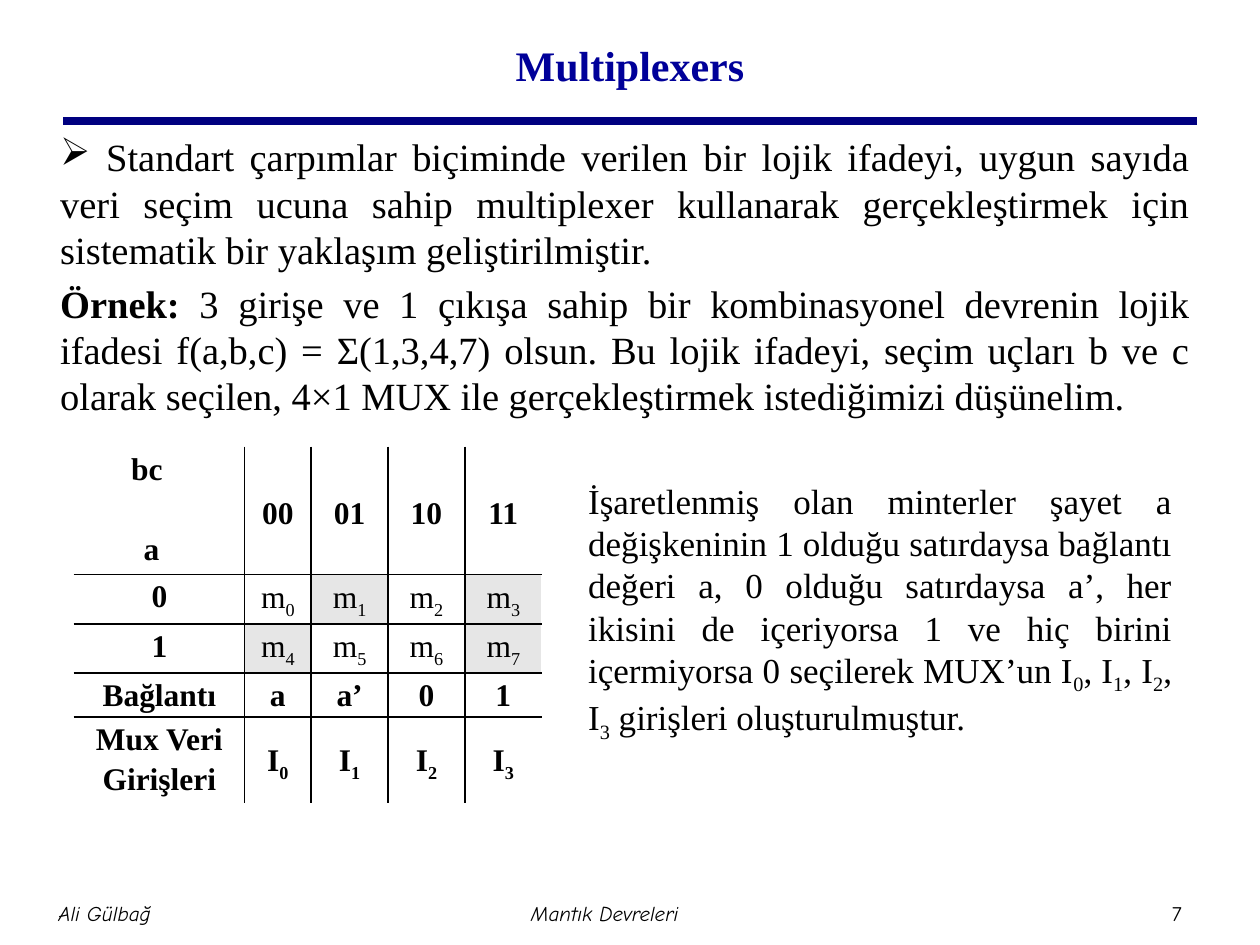
from lxml import etree
from pptx import Presentation
from pptx.dml.color import RGBColor
from pptx.enum import text
from pptx.oxml import ns
from pptx.util import Inches, Pt

COLORS = {"title": "000099", "rule": "000080", "ink": "000000", "marked": "E6E6E6"}
SERIF, COMIC = "Times New Roman", "Comic Neue"
ALIGN, ANCHOR = text.PP_ALIGN, text.MSO_ANCHOR

INTRO = (" Standart çarpımlar biçiminde verilen bir lojik ifadeyi, uygun sayıda veri seçim "
         "ucuna sahip multiplexer kullanarak gerçekleştirmek için sistematik bir yaklaşım "
         "geliştirilmiştir.")
EXAMPLE = ("3 girişe ve 1 çıkışa sahip bir kombinasyonel devrenin lojik ifadesi "
           "f(a,b,c) = Σ(1,3,4,7) olsun. Bu lojik ifadeyi, seçim uçları b ve c olarak "
           "seçilen, 4×1 MUX ile gerçekleştirmek istediğimizi düşünelim.")
NOTE = ("İşaretlenmiş olan minterler şayet a değişkeninin 1 olduğu satırdaysa bağlantı "
        "değeri a, 0 olduğu satırdaysa a’, her ikisini de içeriyorsa 1 ve hiç birini "
        "içermiyorsa 0 seçilerek MUX’un I_0, I_1, I_2, I_3 girişleri oluşturulmuştur.")
ROWS = [
    ["bc\na", "00", "01", "10", "11"],
    ["0", "m_0", "m_1", "m_2", "m_3"],
    ["1", "m_4", "m_5", "m_6", "m_7"],
    ["Bağlantı", "a", "a’", "0", "1"],
    ["Mux Veri\nGirişleri", "I_0", "I_1", "I_2", "I_3"],
]
MINTERMS = {"m_1", "m_3", "m_4", "m_7"}
COL_WIDTHS = [1.35, 0.53, 0.61, 0.61, 0.61]
ROW_HEIGHTS = [0.96, 0.36, 0.36, 0.32, 0.63]


def add_run(p, words, size, font=SERIF, color="ink", bold=False, italic=False):
    """Append one formatted run and return it."""
    r = p.add_run()
    r.text = words
    r.font.size, r.font.name = Pt(size), font
    r.font.bold, r.font.italic = bold, italic
    r.font.color.rgb = RGBColor.from_string(COLORS[color])
    return r


def add_indexed(p, words, size, bold=False):
    """Append text in which the character after each underscore is a subscript."""
    head, *tails = words.split("_")
    add_run(p, head, size, bold=bold)
    for tail in tails:
        r = add_run(p, tail[0], size, bold=bold)
        r.font._element.set("baseline", "-25000")
        if tail[1:]:
            add_run(p, tail[1:], size, bold=bold)


def add_box(s, box, anchor=ANCHOR.TOP, inset=None):
    """Add a wrapping text box and return its text frame."""
    tf = s.shapes.add_textbox(*map(Inches, box)).text_frame
    tf.word_wrap, tf.vertical_anchor = True, anchor
    if inset is not None:
        tf.margin_left = tf.margin_right = tf.margin_top = tf.margin_bottom = Inches(inset)
    return tf


def add_header(s, box):
    """Place the centred title and the rule beneath it."""
    left, top, width, height = box
    p = add_box(s, box, ANCHOR.MIDDLE).paragraphs[0]
    p.alignment = ALIGN.CENTER
    add_run(p, "Multiplexers", 24, color="title", bold=True)
    y = Inches(top + height + 0.02)
    rule = s.shapes.add_connector(1, Inches(left - 0.25), y, Inches(left + width + 0.25), y)
    rule.line.color.rgb = RGBColor.from_string(COLORS["rule"])
    rule.line.width = Pt(4.5)
    etree.SubElement(rule._element.spPr, ns.qn("a:effectLst"))


def add_body(s, box):
    """Place the bulleted introduction and the example."""
    tf = add_box(s, box)
    intro, example = tf.paragraphs[0], tf.add_paragraph()
    pPr = intro._p.get_or_add_pPr()
    pPr.set("marL", "0")
    pPr.set("indent", "0")
    etree.SubElement(pPr, ns.qn("a:buChar")).set("char", "➢")
    intro.alignment = example.alignment = ALIGN.JUSTIFY
    example.space_before = Pt(4.4)
    add_run(intro, INTRO, 22)
    add_run(example, "Örnek: ", 22, bold=True)
    add_run(example, EXAMPLE, 22)


def set_border(cell, side, width):
    """Draw one solid edge of a table cell."""
    ln = etree.SubElement(cell._tc.get_or_add_tcPr(), ns.qn(f"a:ln{side}"), w=str(Pt(width)))
    fill = etree.SubElement(ln, ns.qn("a:solidFill"))
    etree.SubElement(fill, ns.qn("a:srgbClr"), val=COLORS["ink"])


def style_cell(cell, row, col):
    """Give a cell its inner borders, margins, anchor and fill."""
    last = len(ROWS) - 1
    edges = [("L", col > 0, 1), ("R", col < last, 1),
             ("T", row > 0, 1.5 if row == 3 else 1),
             ("B", row < last, 1.5 if row == 2 else 1)]
    for side, shown, width in edges:
        if shown:
            set_border(cell, side, width)
    cell.margin_left = cell.margin_right = Inches(0.07)
    cell.margin_top = cell.margin_bottom = 0
    if col and row in (0, last):
        cell.vertical_anchor = ANCHOR.MIDDLE
    if ROWS[row][col] in MINTERMS:
        cell.fill.solid()
        cell.fill.fore_color.rgb = RGBColor.from_string(COLORS["marked"])
    else:
        cell.fill.background()


def add_minterm_table(s, left, top):
    """Place the minterm table with its marked cells."""
    size = (sum(COL_WIDTHS), sum(ROW_HEIGHTS))
    table = s.shapes.add_table(len(ROWS), len(COL_WIDTHS),
                               *map(Inches, (left, top, *size))).table
    table.first_row = table.horz_banding = False
    for column, width in zip(table.columns, COL_WIDTHS):
        column.width = Inches(width)
    for row, height in zip(table.rows, ROW_HEIGHTS):
        row.height = Inches(height)
    for i, row in enumerate(ROWS):
        for j, words in enumerate(row):
            cell = table.cell(i, j)
            style_cell(cell, i, j)
            cell.text_frame.text = words
            for p in cell.text_frame.paragraphs:
                line = p.text
                p.clear()
                p.alignment, p.line_spacing = ALIGN.CENTER, 1.15
                add_indexed(p, line, 18, bold=not line.startswith("m_"))
    corner = table.cell(0, 0).text_frame.paragraphs
    for p, indent in zip(corner, (0.38, 0.48)):
        p.alignment = ALIGN.LEFT
        p._p.get_or_add_pPr().set("marL", str(Inches(indent)))
    corner[1].space_before = Pt(23)


def add_note(s, box):
    """Place the explanation beside the table."""
    p = add_box(s, box).paragraphs[0]
    p.alignment = ALIGN.JUSTIFY
    add_indexed(p, NOTE, 20)


def add_footer(s, top, height):
    """Place the author, course and page number."""
    items = [("Ali Gülbağ", 0.08, 1.5, ALIGN.CENTER, True),
             ("Mantık Devreleri", 3.01, 3.58, ALIGN.CENTER, True),
             ("7", 9.25, 0.32, ALIGN.LEFT, False)]
    for words, left, width, align, italic in items:
        p = add_box(s, (left, top, width, height), ANCHOR.MIDDLE, 0.05).paragraphs[0]
        p.alignment = align
        add_run(p, words, 12, COMIC, italic=italic)


def main():
    """Build and save the slide."""
    prs = Presentation()
    prs.slide_width, prs.slide_height = Inches(10), Inches(7.5)
    s = prs.slides.add_slide(prs.slide_layouts[6])
    add_header(s, (0.75, 0.08, 8.5, 0.86))
    add_body(s, (0.38, 1.01, 9.16, 2.4))
    add_minterm_table(s, 0.59, 3.55)
    add_note(s, (4.57, 3.76, 4.83, 2.39))
    add_footer(s, 7, 0.5)
    prs.save("out.pptx")


if __name__ == "__main__":
    main()
